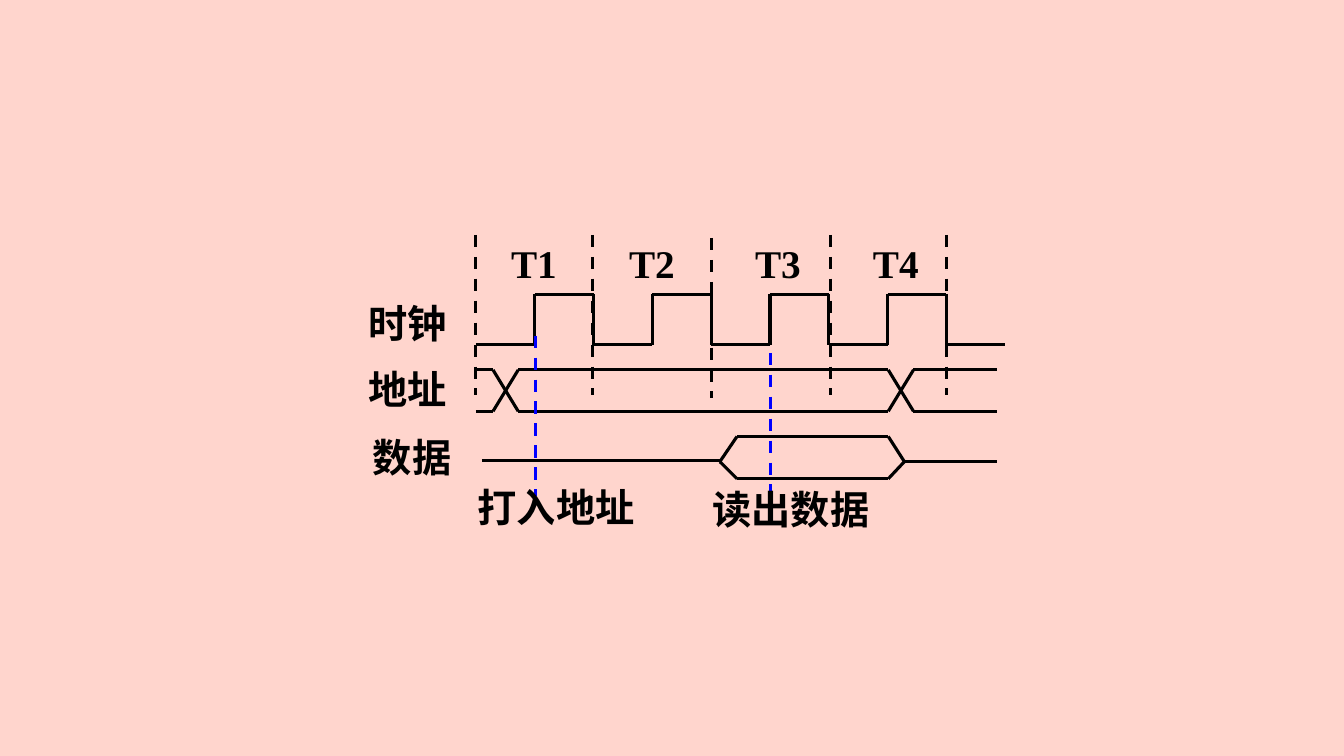
from dataclasses import dataclass

from lxml.etree import SubElement
from pptx import Presentation
from pptx.dml.color import RGBColor
from pptx.enum.dml import MSO_LINE
from pptx.enum.shapes import MSO_CONNECTOR
from pptx.enum.text import MSO_AUTO_SIZE
from pptx.oxml.ns import qn
from pptx.util import Inches, Pt


@dataclass(frozen=True)
class Theme:
    """Colours, font and sizes of the timing diagram."""

    background: RGBColor = RGBColor(0xFF, 0xD5, 0xCD)
    ink: RGBColor = RGBColor(0, 0, 0)
    strobe: RGBColor = RGBColor(0, 0, 0xFF)
    font: str = "Times New Roman"
    label_size: float = 28
    stroke: float = 2.25
    thin_stroke: float = 1


@dataclass(frozen=True)
class Box:
    """A region of the slide, in inches."""

    left: float
    top: float
    width: float
    height: float

    @property
    def right(self):
        """Return the right edge."""
        return self.left + self.width

    @property
    def bottom(self):
        """Return the bottom edge."""
        return self.top + self.height


THEME = Theme()


def draw_line(slide, start, end, color=THEME.ink, width=THEME.stroke, dash=None):
    """Draw a straight line between two points."""
    ends = [Inches(value) for value in (*start, *end)]
    connector = slide.shapes.add_connector(MSO_CONNECTOR.STRAIGHT, *ends)
    connector.line.color.rgb = color
    for name, value in {"width": Pt(width), "dash_style": dash}.items():
        setattr(connector.line, name, value)
    SubElement(connector._element.spPr, qn("a:effectLst"))


def draw_path(slide, *points):
    """Join successive points with lines."""
    for start, end in zip(points, points[1:]):
        draw_line(slide, start, end)


def add_label(slide, text, left, top, width):
    """Place a bold label."""
    label = slide.shapes.add_textbox(
        Inches(left), Inches(top), Inches(width), Inches(0.57))
    frame_format = {"word_wrap": True, "auto_size": MSO_AUTO_SIZE.SHAPE_TO_FIT_TEXT}
    for name, value in frame_format.items():
        setattr(label.text_frame, name, value)
    run = label.text_frame.paragraphs[0].add_run()
    run.text = text
    run.font.color.rgb = THEME.ink
    font_format = {"name": THEME.font, "size": Pt(THEME.label_size), "bold": True}
    for name, value in font_format.items():
        setattr(run.font, name, value)


def draw_clock(slide, box):
    """Draw the square wave of nine half periods."""
    half_period = box.width / 9
    levels = (box.bottom, box.top)
    wave = []
    for half in range(9):
        level = levels[half % 2]
        wave += [(box.left + step * half_period, level) for step in (half, half + 1)]
    draw_path(slide, *wave)
    glitch = (box.left + 0.34, box.bottom + 0.08)
    draw_line(slide, glitch, glitch, width=THEME.thin_stroke)
    add_label(slide, "时钟", box.left - 1.16, box.top, 1.5)


def draw_address(slide, box):
    """Draw the address bus with its two crossings."""
    crossings = [box.left + offset for offset in (0.17, 4.09)]
    for before, after in ((box.top, box.bottom), (box.bottom, box.top)):
        rail = [(box.left, before)]
        for crossing in crossings:
            rail += [(crossing, before), (crossing + 0.25, after)]
            before, after = after, before
        draw_path(slide, *rail, (box.right, before))
    add_label(slide, "地址", box.left - 1.16, box.top - 0.09, 1.5)


def draw_data(slide, box):
    """Draw the data line with its valid window."""
    middle = box.top + 0.25
    opening, closing = box.left + 2.36, box.left + 4.19
    window_left, window_right = opening + 0.17, closing - 0.16
    draw_line(slide, (box.left, middle - 0.01), (opening, middle - 0.01))
    for rail in (box.top, box.bottom):
        draw_path(slide, (opening, middle), (window_left, rail),
                  (window_right, rail), (closing, middle))
    draw_line(slide, (closing, middle), (box.right, middle))
    add_label(slide, "数据", box.left - 1.18, box.top - 0.08, 1.18)


def draw_strobes(slide, box):
    """Draw the two blue strobes and their captions."""
    strobes = (("打入地址", 0, 0, 1.42), ("读出数据", box.width, 0.17, 1.44))
    for caption, offset, delay, drop in strobes:
        moment = box.left + offset
        draw_line(slide, (moment, box.top + delay), (moment, box.bottom),
                  THEME.strobe, dash=MSO_LINE.DASH)
        add_label(slide, caption, moment - 0.67, box.top + drop, 2.08)


def draw_periods(slide, box):
    """Draw the dashed period borders and the period names."""
    borders = ((0, 0), (1.16, 0), (2.34, 0.03), (3.52, 0), (box.width, 0))
    for offset, shift in borders:
        border = box.left + offset
        draw_line(slide, (border, box.top + shift), (border, box.bottom + shift),
                  dash=MSO_LINE.DASH)
    for number, offset in enumerate((0.25, 1.42, 2.67, 3.84), 1):
        add_label(slide, f"T{number}", box.left + offset, box.top, 1.08)


def main():
    """Build and save the slide."""
    deck = Presentation()
    for name, value in {"slide_width": 13.33, "slide_height": 7.5}.items():
        setattr(deck, name, Inches(value))
    slide = deck.slides.add_slide(deck.slide_layouts[6])
    slide.background.fill.solid()
    slide.background.fill.fore_color.rgb = THEME.background
    draw_clock(slide, Box(4.72, 2.92, 5.25, 0.5))
    draw_address(slide, Box(4.72, 3.67, 5.17, 0.41))
    draw_data(slide, Box(4.78, 4.33, 5.11, 0.42))
    draw_strobes(slide, Box(5.31, 3.33, 2.33, 1.59))
    draw_periods(slide, Box(4.72, 2.33, 4.67, 1.59))
    deck.save("out.pptx")


if __name__ == "__main__":
    main()
